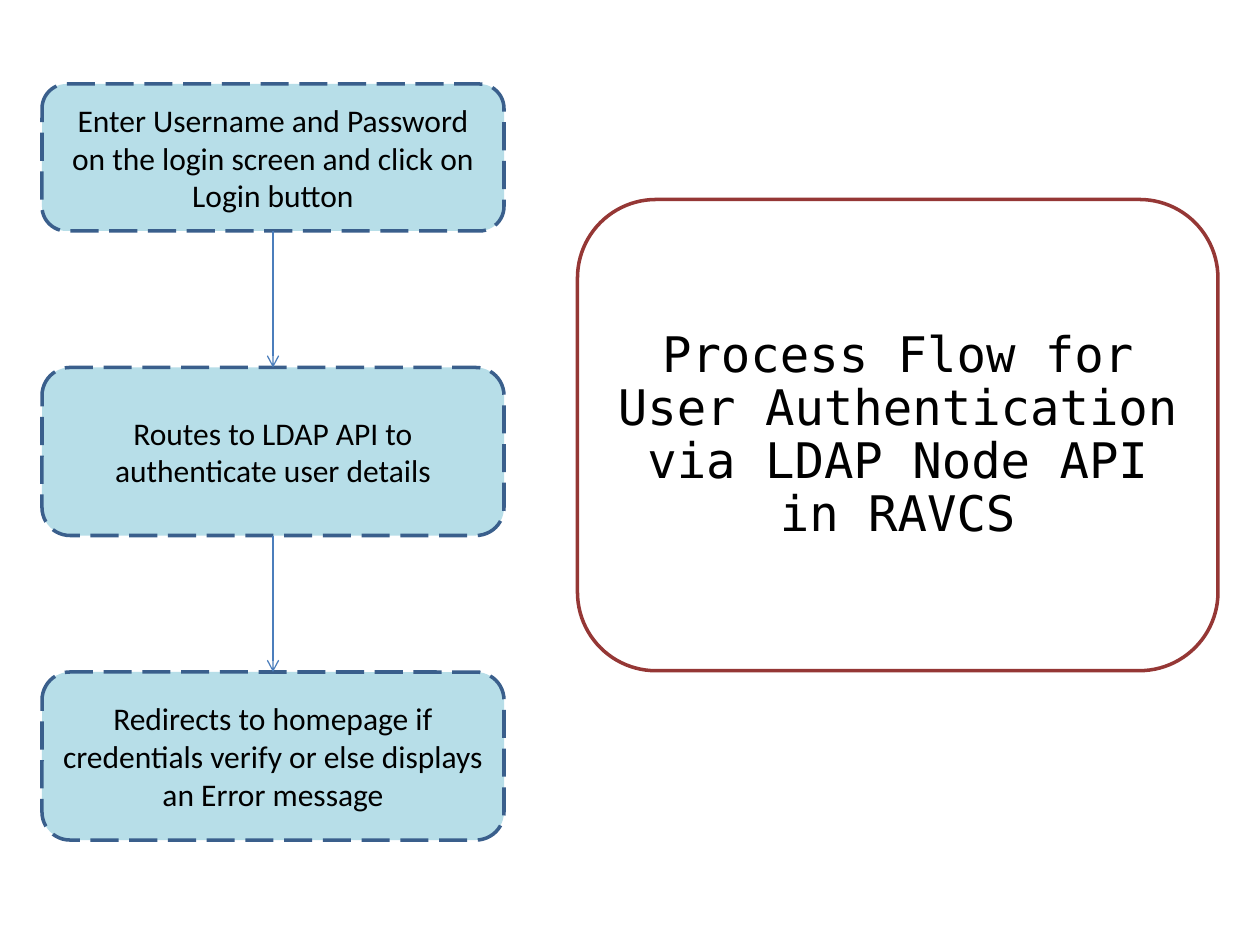
import pptx
import pptx.dml.color
import pptx.enum.dml
import pptx.enum.shapes
import pptx.enum.text
import pptx.oxml.ns
import pptx.util
from lxml import etree

Pt = pptx.util.Pt
RGBColor = pptx.dml.color.RGBColor

STEP_FILL = RGBColor(0xB7, 0xDE, 0xE8)
STEP_LINE = RGBColor(0x3A, 0x5F, 0x8C)
ARROW_LINE = RGBColor(0x4B, 0x7E, 0xBC)
TITLE_LINE = RGBColor(0x95, 0x37, 0x35)
TEXT_COLOR = RGBColor(0, 0, 0)


class FlowSlide:
    body_font = "Calibri"
    title_font = "DejaVu Sans Mono"
    border = 2

    def __init__(self, presentation):
        self.slide = presentation.slides.add_slide(presentation.slide_layouts[6])

    def add_text(self, shape, text, font, size, inset=None, spacing=None):
        frame = shape.text_frame
        frame.word_wrap = True
        frame.vertical_anchor = pptx.enum.text.MSO_ANCHOR.MIDDLE
        if inset is not None:
            frame.margin_left = frame.margin_right = Pt(inset)
            frame.margin_top = frame.margin_bottom = Pt(inset)
        paragraph = frame.paragraphs[0]
        paragraph.alignment = pptx.enum.text.PP_ALIGN.CENTER
        if spacing is not None:
            paragraph.line_spacing = spacing
        run = paragraph.add_run()
        run.text = text
        run.font.name = font
        run.font.size = Pt(size)
        run.font.color.rgb = TEXT_COLOR

    def rounded_box(self, shapes, left, top, width, height, line_color):
        shape = shapes.add_shape(
            pptx.enum.shapes.MSO_SHAPE.ROUNDED_RECTANGLE,
            Pt(left), Pt(top), Pt(width), Pt(height))
        shape.shadow.inherit = False
        shape.fill.background()
        shape.line.color.rgb = line_color
        shape.line.width = Pt(self.border)
        return shape

    def step(self, left, top, width, height, text):
        shape = self.rounded_box(self.slide.shapes, left, top, width, height, STEP_LINE)
        shape.fill.solid()
        shape.fill.fore_color.rgb = STEP_FILL
        shape.line.dash_style = pptx.enum.dml.MSO_LINE.LONG_DASH
        self.add_text(shape, text, self.body_font, 18)

    def arrow(self, x, start, end):
        connector = self.slide.shapes.add_connector(
            pptx.enum.shapes.MSO_CONNECTOR.STRAIGHT, Pt(x), Pt(start), Pt(x), Pt(end))
        connector.line.color.rgb = ARROW_LINE
        connector.line.width = Pt(0.75)
        qn = pptx.oxml.ns.qn
        properties = connector.element.spPr
        etree.SubElement(properties.find(qn("a:ln")), qn("a:tailEnd"), type="arrow")
        etree.SubElement(properties, qn("a:effectLst"))

    def title_panel(self, text):
        group = self.slide.shapes.add_group_shape()
        self.rounded_box(group.shapes, 330, 114, 366, 269.3, TITLE_LINE)
        text_box = group.shapes.add_textbox(Pt(342), Pt(127.4), Pt(342), Pt(243.4))
        self.add_text(text_box, text, self.title_font, 28, inset=8.64, spacing=0.9)


presentation = pptx.Presentation()
presentation.slide_width = Pt(720)
presentation.slide_height = Pt(540)
flow = FlowSlide(presentation)

# Process steps, joined by arrows
STEP_LEFT, STEP_WIDTH = 24, 264
STEPS = [
    (48, 84, "Enter Username and Password on the login screen and click on Login button"),
    (210, 96, "Routes to LDAP API to authenticate user details"),
    (384, 96, "Redirects to homepage if credentials verify or else displays an Error message"),
]
for top, height, text in STEPS:
    flow.step(STEP_LEFT, top, STEP_WIDTH, height, text)
for (top, height, _), (next_top, _, _) in zip(STEPS, STEPS[1:]):
    flow.arrow(STEP_LEFT + STEP_WIDTH / 2, top + height, next_top)

# Title panel
flow.title_panel("Process Flow for User Authentication via LDAP Node API in RAVCS")

presentation.save("out.pptx")
